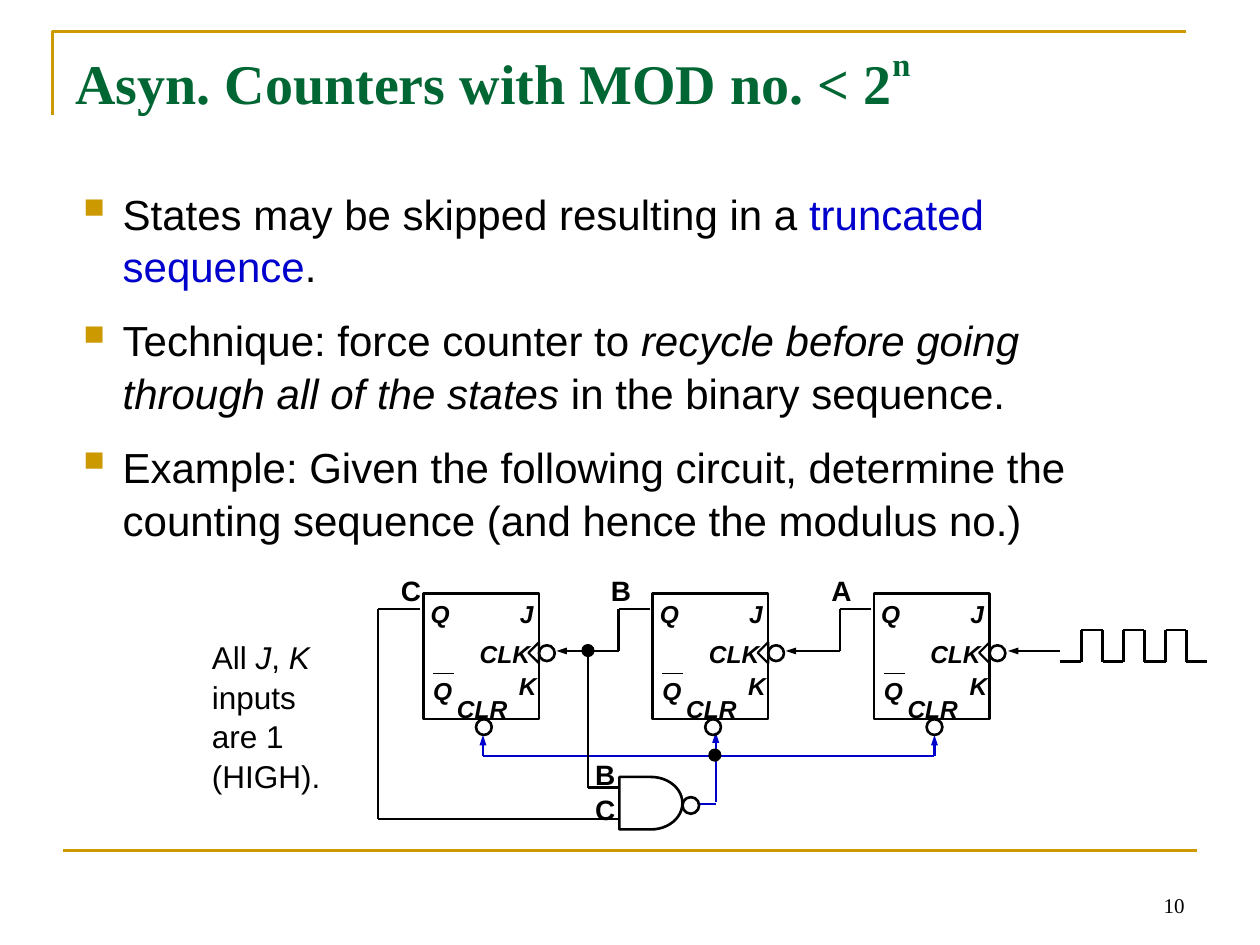
"""Builds the slide on asynchronous counters with a MOD number below 2^n."""
import pptx
import pptx.util
import pptx.dml.color
import pptx.enum.shapes
import pptx.enum.text
import pptx.oxml
import pptx.oxml.ns

Pt = pptx.util.Pt
color = pptx.dml.color.RGBColor.from_string
SHAPE = pptx.enum.shapes.MSO_SHAPE
BLACK, BLUE, GOLD, GREEN = "000000", "0000CC", "CC9900", "006633"
NS = pptx.oxml.ns.nsdecls("a")

deck = pptx.Presentation()
deck.slide_width, deck.slide_height = Pt(720), Pt(540)
slide = deck.slides.add_slide(deck.slide_layouts[6])


def wire(x1, y1, x2, y2, stroke=BLACK, width=1.25, arrow=False):
    line = slide.shapes.add_connector(
        pptx.enum.shapes.MSO_CONNECTOR.STRAIGHT, Pt(x1), Pt(y1), Pt(x2), Pt(y2))
    line.line.color.rgb = color(stroke)
    line.line.width = Pt(width)
    if arrow:
        line.line._get_or_add_ln().append(pptx.oxml.parse_xml(
            f'<a:tailEnd {NS} type="triangle" w="sm" len="med"/>'))
    line._element.spPr.append(pptx.oxml.parse_xml(f"<a:effectLst {NS}/>"))


def write(x, y, w, h, paragraphs, size, font="Arial", bold=False, italic=False,
          fill=BLACK, wrap=True, spacing=1.0):
    frame = slide.shapes.add_textbox(Pt(x), Pt(y), Pt(w), Pt(h)).text_frame
    frame.word_wrap = wrap
    for index, runs in enumerate(paragraphs):
        paragraph = frame.paragraphs[0] if index == 0 else frame.add_paragraph()
        paragraph.line_spacing = spacing
        for text, changes in runs:
            run = paragraph.add_run()
            run.text = text
            run.font.name, run.font.size = font, Pt(size)
            run.font.bold = bold
            run.font.italic = changes.get("italic", italic)
            run.font.color.rgb = color(changes.get("fill", fill))
            if "raised" in changes:
                run._r.get_or_add_rPr().set("baseline", str(changes["raised"] * 1000))
    return frame


# fmt: off
border = slide.shapes.build_freeform(Pt(30), Pt(66), scale=1.0)
border.add_line_segments([(Pt(30), Pt(18)), (Pt(678), Pt(18))], close=False)
corner = border.convert_to_shape()
corner.shadow.inherit = False
corner.fill.background()
corner.line.color.rgb = color(GOLD)
corner.line.width = Pt(1.5)
wire(36, 486, 684, 486, GOLD, 1.5)

page_number = write(516, 492, 168, 36, [[("10", {})]], 12, "Times New Roman")
page_number.vertical_anchor = pptx.enum.text.MSO_ANCHOR.BOTTOM
page_number.paragraphs[0].alignment = pptx.enum.text.PP_ALIGN.RIGHT

write(36, 21.6, 648, 90,
      [[("Asyn. Counters with MOD no. < 2", {}), ("n", {"raised": 50})]],
      32, "Times New Roman", bold=True, fill=GREEN)

points = write(36, 102.5, 641.5, 206, [
    [("States may be skipped resulting in a ", {}),
     ("truncated sequence", {"fill": BLUE}), (".", {})],
    [("Technique: force counter to ", {}),
     ("recycle before going through all of the states", {"italic": True}),
     (" in the binary sequence.", {})],
    [("Example: Given the following circuit, determine the counting sequence "
      "(and hence the modulus no.)", {})],
], 24, spacing=1.05)
for index, point in enumerate(points.paragraphs):
    if index:
        point.space_before = Pt(12)
    properties = point._p.get_or_add_pPr()
    properties.set("marL", str(Pt(27)))
    properties.set("indent", str(-Pt(27)))
    for bullet in (f'<a:buClr {NS}><a:srgbClr val="{GOLD}"/></a:buClr>',
                   f'<a:buSzPct {NS} val="120000"/>',
                   f'<a:buChar {NS} char="▪"/>'):
        properties.append(pptx.oxml.parse_xml(bullet))

clear_wires = [
    (276, 432, 534, 432, False), (409, 458.5, 409, 418.5, True),
    (399.5, 459.5, 409, 459.5, False),
    (276, 432, 276, 420, True), (534, 432, 534, 420, True),
]
for x1, y1, x2, y2, arrow in clear_wires:
    wire(x1, y1, x2, y2, BLUE, arrow=arrow)

signal_wires = [
    (336, 450, 354, 450), (336, 372, 336, 450),
    (371.5, 348, 353.5, 348), (353.5, 348, 353.5, 372),
    (498, 348, 480, 348), (480, 348, 480, 372),
    (240, 348, 216, 348), (216, 348, 216, 468), (216, 468, 354, 468),
]
for ends in signal_wires:
    wire(*ends)
for start, end in ((353.5, 318), (480, 449), (606, 576)):
    wire(start, 372, end, 372, arrow=True)

for pulse in range(3):
    low = 606 + 24 * pulse
    rise, fall = low + 12, low + 24
    wire(low, 378, rise, 378)
    wire(rise, 378, rise, 360)
    wire(rise, 360, fall, 360)
    wire(fall, 360, fall, 378)
wire(678, 378, 690, 378)

outlines = [
    (SHAPE.FLOWCHART_DELAY, 354, 444, 36, 30, 1.5, 0, False),
    (SHAPE.OVAL, 390, 455.5, 9.5, 9.5, 1.5, 0, False),
    (SHAPE.OVAL, 405.5, 428.5, 6, 6, 1.5, 0, True),
    (SHAPE.OVAL, 333, 368.75, 6, 6, 1.5, 0, True),
]
for left in (242, 373, 499.5):
    outlines += [
        (SHAPE.RECTANGLE, left, 339, 66, 72, 1.5, 0, False),
        (SHAPE.ISOSCELES_TRIANGLE, left + 57, 370, 12, 6, 1.25, 270, False),
        (SHAPE.OVAL, left + 30, 411, 9, 9, 1.5, 0, False),
        (SHAPE.OVAL, left + 66, 368.75, 9, 9, 1.5, 0, False),
    ]
    wire(left + 5.5, 385, left + 17.5, 385, width=0.75)
    pins = [("Q", -3, 339, 25), ("Q", -1.5, 382.5, 25), ("J", 48, 339, 22.5),
            ("K", 47.5, 380, 24.5), ("CLK", 25, 361.5, 43), ("CLR", 12, 393, 43)]
    for pin, offset, top, width in pins:
        write(left + offset, top, width, 24.5, [[(pin, {})]], 14,
              bold=True, italic=True, wrap=False)

for kind, x, y, w, h, weight, turn, solid in outlines:
    part = slide.shapes.add_shape(kind, Pt(x), Pt(y), Pt(w), Pt(h))
    part.shadow.inherit = False
    part.rotation = turn
    part.line.color.rgb = color(BLACK)
    part.line.width = Pt(weight)
    if solid:
        part.fill.solid()
        part.fill.fore_color.rgb = color(BLACK)
    else:
        part.fill.background()

for output, x in (("C", 222), ("B", 342), ("A", 468)):
    write(x, 324, 24, 26.5, [[(output, {})]], 16, bold=True)
write(333, 428.5, 30, 46, [[("B", {})], [("C", {})]], 16, bold=True, spacing=1.05)
write(114, 360, 90, 94, [[
    ("All ", {}), ("J", {"italic": True}), (", ", {}), ("K", {"italic": True}),
    (" inputs are 1 (HIGH).", {})]], 18, spacing=1.05)

deck.save("out.pptx")
